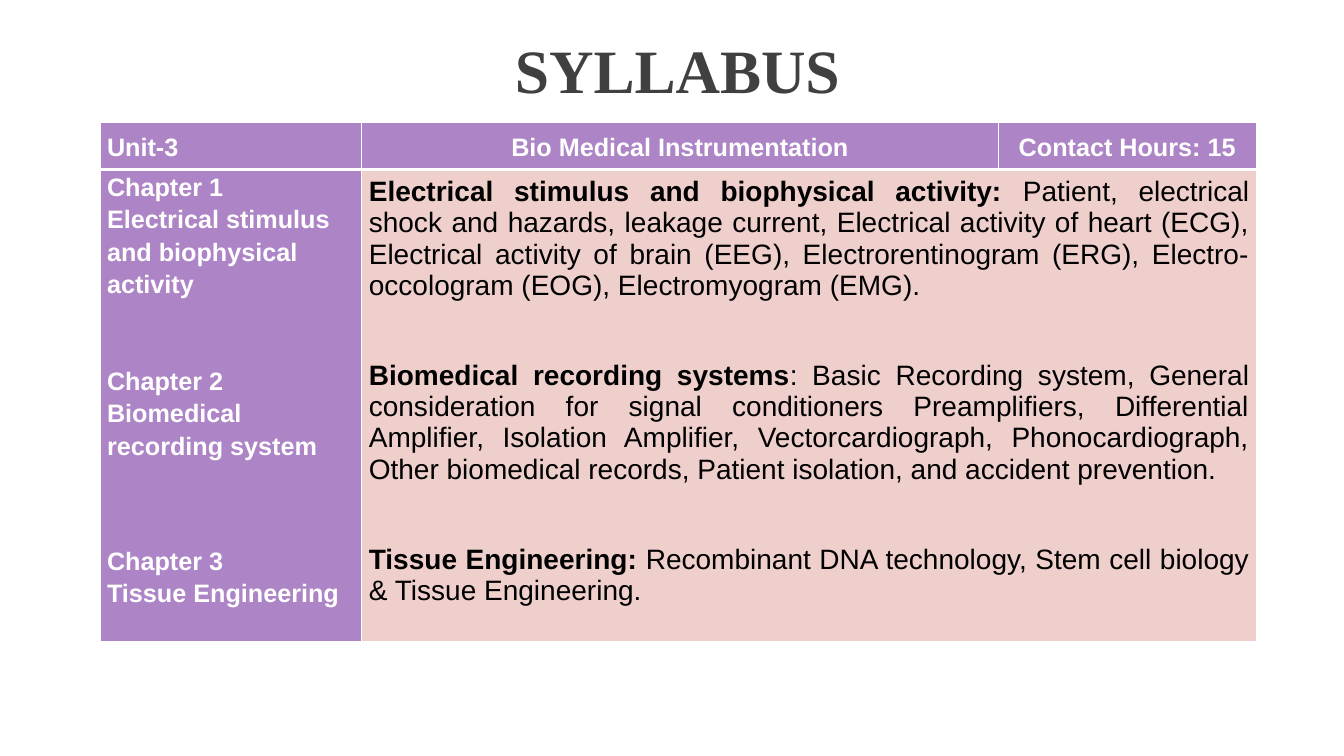
from lxml import etree
from pptx import Presentation
from pptx.dml.color import RGBColor
from pptx.enum.text import MSO_ANCHOR, PP_ALIGN
from pptx.oxml.ns import qn
from pptx.util import Pt

INK = {"head": "AD84C6", "body": "EFCFCC", "white": "FFFFFF",
       "title": "404040", "text": "000000"}
COLS = (187, 454.5, 184.5)
ROWS = (33.5, 337)
HEADS = (("Unit-3", PP_ALIGN.LEFT),
         ("Bio Medical Instrumentation", PP_ALIGN.CENTER),
         ("Contact Hours: 15", PP_ALIGN.CENTER))
NAMES = (("Chapter 1", 0), ("Electrical stimulus and biophysical activity", 0),
         ("Chapter 2", 46), ("Biomedical recording system", 0),
         ("Chapter 3", 59), ("Tissue Engineering", 0))
TOPICS = (
    ("Electrical stimulus and biophysical activity:", "",
     " Patient, electrical shock and hazards, leakage current, Electrical "
     "activity of heart (ECG), Electrical activity of brain (EEG), "
     "Electrorentinogram (ERG), Electro-occologram (EOG), Electromyogram (EMG)."),
    ("Biomedical recording systems", ":",
     " Basic Recording system, General consideration for signal conditioners "
     "Preamplifiers, Differential Amplifier, Isolation Amplifier, "
     "Vectorcardiograph, Phonocardiograph, Other biomedical records, "
     "Patient isolation, and accident prevention."),
    ("Tissue Engineering:", "",
     " Recombinant DNA technology, Stem cell biology & Tissue Engineering."),
)


def add_run(para, text, size, color, bold=True, face="Arial"):
    """Add one styled run to a paragraph."""
    run = para.add_run()
    run.text = text
    font = run.font
    font.size, font.bold, font.name = Pt(size), bold, face
    font.color.rgb = RGBColor.from_string(INK[color])


def add_para(frame, first, align, lead, gap=0):
    """Return the first or a new paragraph with its spacing set."""
    para = frame.paragraphs[0] if first else frame.add_paragraph()
    para.alignment, para.line_spacing = align, lead
    para.space_before, para.space_after = Pt(gap), Pt(0)
    return para


def set_edge(cell, sides):
    """Draw white borders of the given widths on a cell."""
    props = cell._tc.get_or_add_tcPr()
    for spot, (side, width) in enumerate(sides.items()):
        line = etree.Element(qn("a:ln" + side), w=str(Pt(width)))
        fill = etree.SubElement(line, qn("a:solidFill"))
        etree.SubElement(fill, qn("a:srgbClr"), val=INK["white"])
        props.insert(spot, line)


def set_cell(cell, color, row, top=0):
    """Set the fill, margins and borders of a cell."""
    cell.fill.solid()
    cell.fill.fore_color.rgb = RGBColor.from_string(INK[color])
    cell.margin_left = cell.margin_right = Pt(5)
    cell.margin_top, cell.margin_bottom = Pt(top), Pt(0)
    cell.vertical_anchor = MSO_ANCHOR.TOP if row else MSO_ANCHOR.MIDDLE
    set_edge(cell, {"L": 1, "R": 1, "T": 3 if row else 1, "B": 1 if row else 3})


def add_title(slide):
    """Place and format the slide title."""
    title = slide.shapes.title
    title.left, title.top, title.width, title.height = Pt(89.5), Pt(15), Pt(789), Pt(75.5)
    frame = title.text_frame
    frame.word_wrap = True
    frame.vertical_anchor = MSO_ANCHOR.MIDDLE
    para = add_para(frame, True, PP_ALIGN.CENTER, 0.9)
    add_run(para, "SYLLABUS", 44, "title", face="Times New Roman")


def add_grid(slide):
    """Add the syllabus table."""
    frame = slide.shapes.add_table(2, 3, Pt(71.5), Pt(87.5), Pt(sum(COLS)), Pt(sum(ROWS)))
    grid = frame.table
    grid.first_row = grid.horz_banding = False
    for col, width in zip(grid.columns, COLS):
        col.width = Pt(width)
    for row, height in zip(grid.rows, ROWS):
        row.height = Pt(height)
    for col, (text, align) in enumerate(HEADS):
        cell = grid.cell(0, col)
        set_cell(cell, "head", 0)
        add_run(add_para(cell.text_frame, True, align, 1.15), text, 18, "white")
    names, topics = grid.cell(1, 0), grid.cell(1, 1)
    topics.merge(grid.cell(1, 2))
    set_cell(names, "head", 1)
    set_cell(topics, "body", 1, 5)
    set_cell(grid.cell(1, 2), "body", 1)
    for spot, (text, gap) in enumerate(NAMES):
        para = add_para(names.text_frame, spot == 0, PP_ALIGN.LEFT, 1.15, gap)
        add_run(para, text, 18, "white")
    for spot, (name, mark, text) in enumerate(TOPICS):
        gap = 42 if spot else 0
        para = add_para(topics.text_frame, spot == 0, PP_ALIGN.JUSTIFY, 1.0, gap)
        add_run(para, name, 20, "text")
        add_run(para, mark + text, 20, "text", False)


def main():
    """Build and save the slide."""
    deck = Presentation()
    deck.slide_width, deck.slide_height = Pt(960), Pt(540)
    slide = deck.slides.add_slide(deck.slide_layouts[5])
    add_title(slide)
    add_grid(slide)
    deck.save("out.pptx")


if __name__ == "__main__":
    main()
